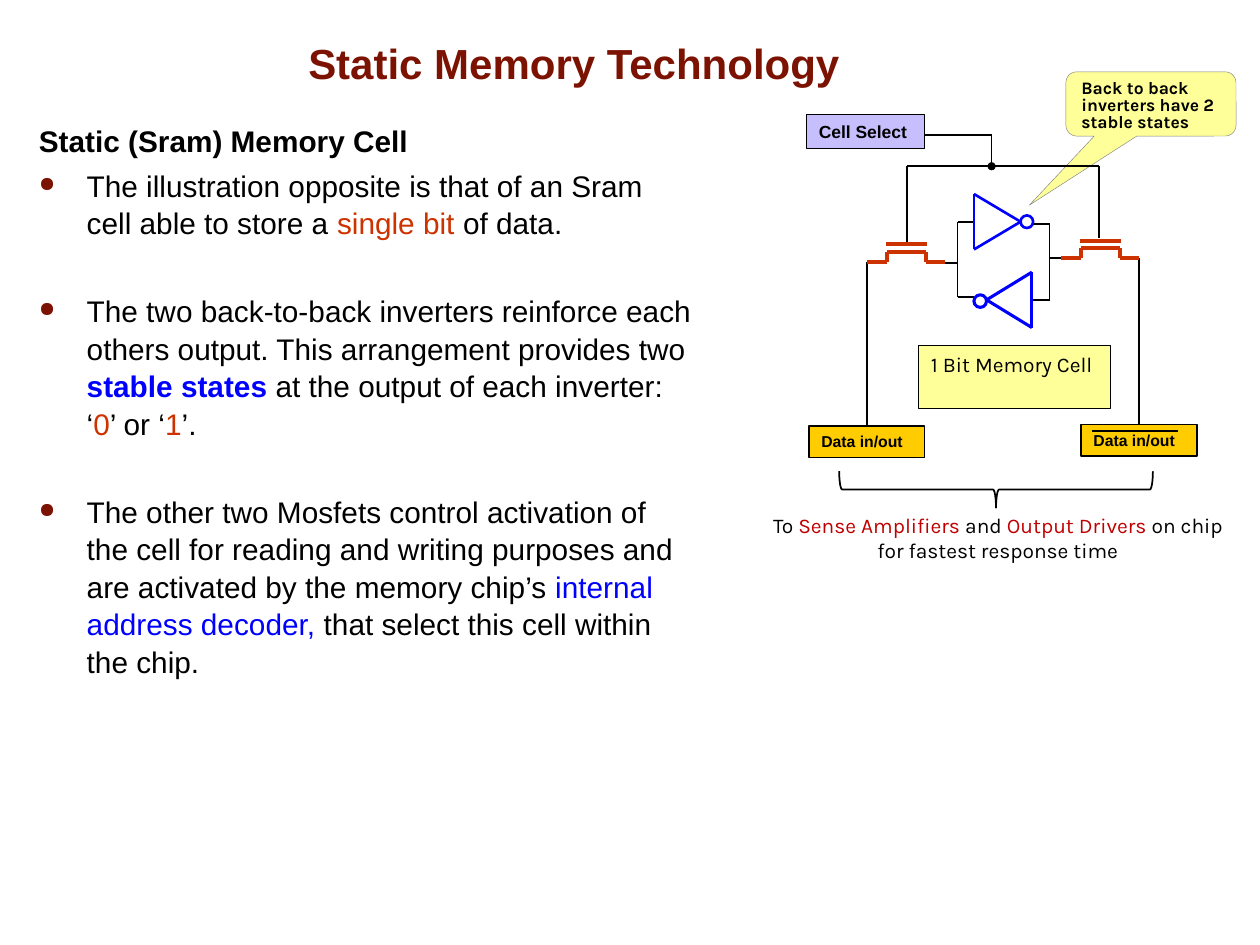
from itertools import pairwise

from lxml import etree
from pptx import Presentation
from pptx import util as u
from pptx.dml.color import RGBColor
from pptx.enum import shapes, text
from pptx.oxml.ns import qn

COLORS = {
    "black": "000000", "maroon": "7C1302", "rust": "CC3300", "blue": "0000FF",
    "red": "C00000", "gray": "808080", "yellow": "FFFF99", "gold": "FFCC00",
    "lilac": "C7BEFE",
}

TITLE = [[("Static Memory Technology", "maroon", True)]]
HEADING = [("Static (Sram) Memory Cell", "black", True)]
BULLETS = [
    [("The illustration opposite is that of an Sram cell able to store a ",),
     ("single bit ", "rust"), ("of data.",)],
    [("The two back-to-back inverters reinforce each others output. "
      "This arrangement provides two ",),
     ("stable states", "blue", True), (" at the output of each inverter: ‘",),
     ("0", "rust"), ("’ or ‘",), ("1", "rust"), ("’.",)],
    [("The other two Mosfets control activation of the cell for reading and writing "
      "purposes and are activated by the memory chip’s ",),
     ("internal address decoder,", "blue"), (" that select this cell within the chip.",)],
]
CAPTION = [[("To ",), ("Sense Amplifiers ", "red"), ("and ",), ("Output Drivers ", "red"),
            ("on chip",), ("\n",), ("for fastest response time",)]]

BOXES = {
    "data": ((6.42, 3.38, 0.92, 0.25), "gold", 0.75, "Data in/out", 9, "Arial", True),
    "inverse data": ((8.58, 3.37, 0.92, 0.25), "gold", 0.75, "Data in/out", 9, "Arial", True),
    "cell": ((7.29, 2.74, 1.52, 0.5), "yellow", 0.25, "1 Bit Memory Cell", 12, "Karla", False),
    "select": ((6.4, 0.91, 0.94, 0.27), "lilac", 0.75, "Cell Select", 10, "Arial", True),
}
DATA_WIRES = [("data", (6.88, 2.08)), ("inverse data", (9.04, 2.05))]
WIRES = [
    [(7.34, 1.07), (7.87, 1.07), (7.87, 1.32)],
    [(7.2, 1.92), (7.2, 1.32), (8.72, 1.32), (8.72, 1.89)],
    [(7.72, 1.76), (7.6, 1.76), (7.6, 2.36), (7.73, 2.36)],
    [(7.5, 2.09), (7.6, 2.09)],
    [(8.2, 1.78), (8.33, 1.78), (8.33, 2.38), (8.2, 2.38)],
    [(8.43, 2.05), (8.33, 2.05)],
]
INVERSE_BAR = [(8.67, 3.42), (9.35, 3.42)]
MOSFET = [
    [(0, 0), (0.33, 0)],
    [(-0.15, 0.14), (0.01, 0.14), (0.01, 0.06), (0.32, 0.06), (0.32, 0.14), (0.47, 0.14)],
]
MOSFET_ORIGINS = [(7.03, 1.94), (8.57, 1.91)]
INVERTERS = [
    ([(7.73, 1.54), (7.73, 1.98), (8.1, 1.76), (7.73, 1.54)], (8.1, 1.71), 1.5),
    ([(8.19, 2.16), (8.19, 2.6), (7.83, 2.38), (8.19, 2.16)], (7.73, 2.34), 1.75),
]

presentation = Presentation()
presentation.slide_width, presentation.slide_height = u.Inches(10), u.Inches(7.5)
slide = presentation.slides.add_slide(presentation.slide_layouts[6])


def color(name):
    return RGBColor.from_string(COLORS[name])


def write(shape, paragraphs, size, font="Arial", align=text.PP_ALIGN.LEFT,
          anchor=text.MSO_ANCHOR.TOP, wrap=True, spacing=None):
    frame = shape.text_frame
    frame.word_wrap, frame.vertical_anchor = wrap, anchor
    for index, runs in enumerate(paragraphs):
        paragraph = frame.add_paragraph() if index else frame.paragraphs[0]
        paragraph.alignment = align
        paragraph.line_spacing = spacing
        for content, ink, bold in (run + ("black", False)[len(run) - 1:] for run in runs):
            if content == "\n":
                paragraph.add_line_break()
                continue
            run = paragraph.add_run()
            run.text = content
            run.font.size, run.font.name, run.font.bold = u.Pt(size), font, bold
            run.font.color.rgb = color(ink)
    return frame.paragraphs


def add_text(place, paragraphs, size, **style):
    box = slide.shapes.add_textbox(*map(u.Inches, place))
    return write(box, paragraphs, size, **style)


def add_figure(kind, place, fill, line, width):
    shape = slide.shapes.add_shape(kind, *map(u.Inches, place))
    shape.shadow.inherit = False
    if fill:
        shape.fill.solid()
        shape.fill.fore_color.rgb = color(fill)
    else:
        shape.fill.background()
    shape.line.color.rgb = color(line)
    shape.line.width = u.Pt(width)
    return shape


def add_line(start, end, ink="black", width=1):
    line = slide.shapes.add_connector(
        shapes.MSO_CONNECTOR.STRAIGHT, *map(u.Inches, (*start, *end)))
    line.line.color.rgb = color(ink)
    line.line.width = u.Pt(width)
    etree.SubElement(line._element.spPr, qn("a:effectLst"))
    return line


def add_polyline(points, ink="black", width=1):
    for start, end in pairwise(points):
        add_line(start, end, ink, width)


def set_bullet(paragraph):
    properties = paragraph._p.get_or_add_pPr()
    properties.set("marL", str(u.Inches(0.38)))
    properties.set("indent", str(u.Inches(-0.38)))
    bullet_color = etree.SubElement(properties, qn("a:buClr"))
    etree.SubElement(bullet_color, qn("a:srgbClr"), val=COLORS["maroon"])
    etree.SubElement(properties, qn("a:buSzPct"), val="70000")
    etree.SubElement(properties, qn("a:buChar"), char="●")


add_text((0.43, 0.21, 8.25, 0.54), TITLE, 24,
         align=text.PP_ALIGN.CENTER, anchor=text.MSO_ANCHOR.BOTTOM)
body = add_text((0.21, 0.91, 5.41, 6.22), [HEADING, *BULLETS], 17, spacing=1.05)
for paragraph, gap in zip(body[1:], (4.2, 28.8, 28.8)):
    paragraph.space_before = u.Pt(gap)
    set_bullet(paragraph)

callout = add_figure(shapes.MSO_SHAPE.ROUNDED_RECTANGULAR_CALLOUT,
                     (8.46, 0.57, 1.35, 0.51), "yellow", "gray", 0.25)
for index, value in enumerate((-0.715, 1.575, 0.167)):
    callout.adjustments[index] = value
write(callout, [[("Back to back inverters have 2 stable states", "black", True)]],
      10, font="Karla", spacing=0.8)

boxes = {}
for name, (place, fill, width, label, size, font, bold) in BOXES.items():
    boxes[name] = add_figure(shapes.MSO_SHAPE.RECTANGLE, place, fill, "black", width)
    write(boxes[name], [[(label, "black", bold)]], size, font=font)

for name, (x, y) in DATA_WIRES:
    add_line((x, y), (x, BOXES[name][0][1])).end_connect(boxes[name], 0)
for points in WIRES:
    add_polyline(points)
add_polyline(INVERSE_BAR, width=1.25)

for left, top in MOSFET_ORIGINS:
    for points in MOSFET:
        add_polyline([(left + x, top + y) for x, y in points], "rust", 2.25)
for triangle, bubble, width in INVERTERS:
    add_polyline(triangle, "blue", width)
    add_figure(shapes.MSO_SHAPE.OVAL, (*bubble, 0.1, 0.1), None, "blue", width)

add_figure(shapes.MSO_SHAPE.OVAL, (7.84, 1.29, 0.06, 0.06), "black", "black", 0.25)
brace = add_figure(shapes.MSO_SHAPE.RIGHT_BRACE, (7.76, 2.64, 0.29, 2.49), None, "black", 1)
brace.rotation = 90
add_text((5.97, 4.02, 3.9, 0.5), CAPTION, 12, font="Karla",
         align=text.PP_ALIGN.CENTER, wrap=False)

presentation.save("out.pptx")
